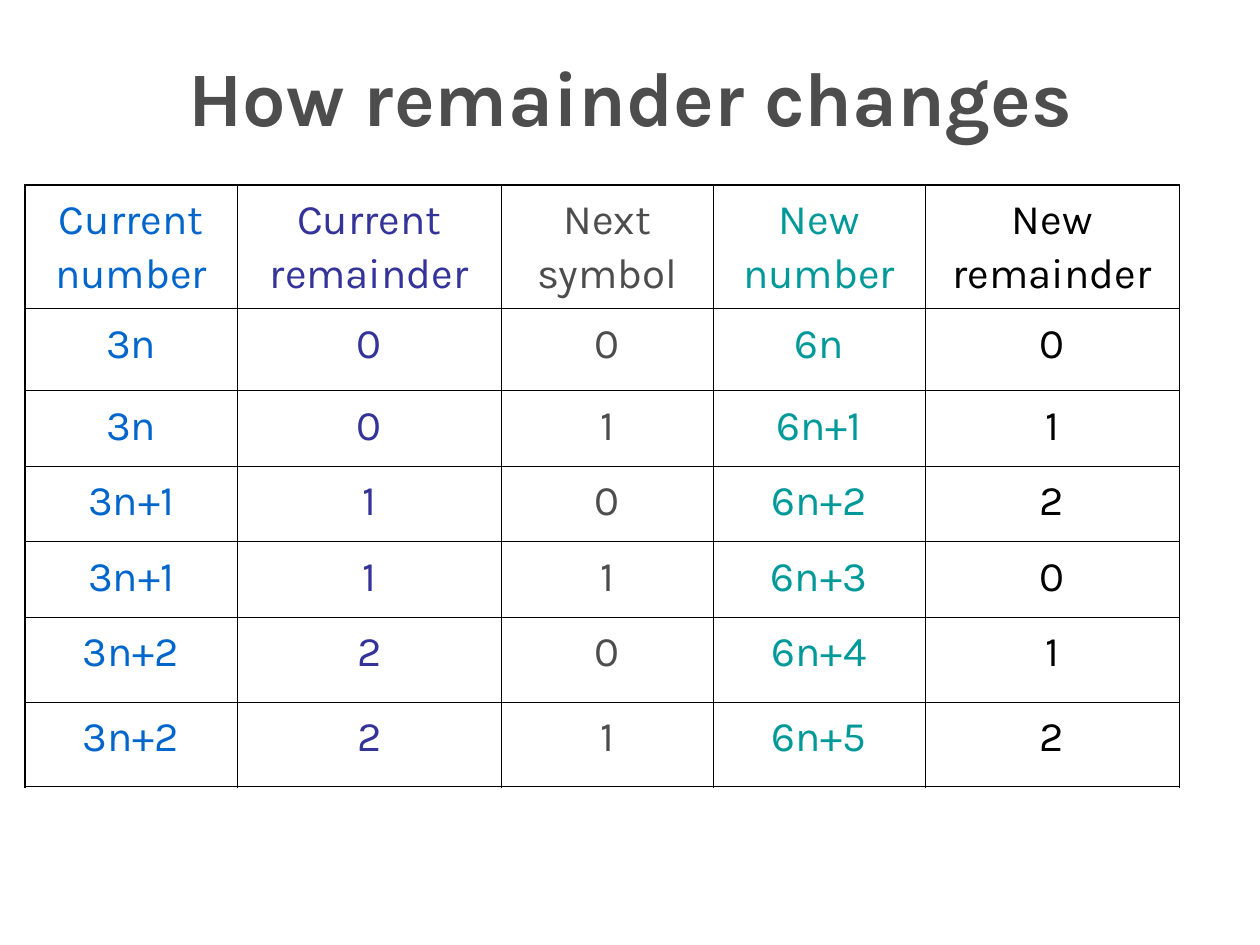
import pptx
import pptx.dml.color
import pptx.enum.text
import pptx.oxml
import pptx.oxml.ns
import pptx.util

Pt = pptx.util.Pt
RGBColor = pptx.dml.color.RGBColor

BLUE = RGBColor(0x00, 0x66, 0xCC)
INDIGO = RGBColor(0x33, 0x33, 0x99)
GRAY = RGBColor(0x4D, 0x4D, 0x4D)
TEAL = RGBColor(0x00, 0x99, 0x99)
BLACK = RGBColor(0x00, 0x00, 0x00)

TITLE = "How remainder changes"
COLUMNS = [
    ("Current number", 121, BLUE),
    ("Current remainder", 151.2, INDIGO),
    ("Next symbol", 121, GRAY),
    ("New number", 121, TEAL),
    ("New remainder", 145.4, BLACK),
]
TRANSITIONS = [
    ("3n", "0", "0", "6n", "0"),
    ("3n", "0", "1", "6n+1", "1"),
    ("3n+1", "1", "0", "6n+2", "2"),
    ("3n+1", "1", "1", "6n+3", "0"),
    ("3n+2", "2", "0", "6n+4", "1"),
    ("3n+2", "2", "1", "6n+5", "2"),
]
ROW_HEIGHTS = [70.4, 46.8, 43.2, 43.2, 43.2, 48.4, 48.4]
LEFT = 14.4
TABLE_TOP = 105.8
OUTER_LINE = 1.08
INNER_LINE = 0.45


def write_text(frame, text, size, color, bold=False, line_spacing=1.0):
    paragraph = frame.paragraphs[0]
    paragraph.alignment = pptx.enum.text.PP_ALIGN.CENTER
    paragraph.line_spacing = line_spacing
    run = paragraph.add_run()
    run.text = text
    run.font.name = "Karla"
    run.font.size = Pt(size)
    run.font.bold = bold
    run.font.color.rgb = color


def set_borders(cell, widths):
    properties = cell._tc.get_or_add_tcPr()
    for position, (side, width) in enumerate(widths.items()):
        line = pptx.oxml.parse_xml(
            f'<a:ln{side} {pptx.oxml.ns.nsdecls("a")} w="{int(Pt(width))}">'
            f'<a:solidFill><a:srgbClr val="{BLACK}"/></a:solidFill></a:ln{side}>'
        )
        properties.insert(position, line)


def add_title(slide):
    title = slide.shapes.add_textbox(Pt(LEFT), Pt(15), Pt(692), Pt(79.2))
    frame = title.text_frame
    frame.word_wrap = True
    frame.vertical_anchor = pptx.enum.text.MSO_ANCHOR.MIDDLE
    write_text(frame, TITLE, size=44, color=GRAY, bold=True)


def add_remainder_table(slide):
    rows = [[heading for heading, _, _ in COLUMNS], *TRANSITIONS]
    last_row, last_column = len(rows) - 1, len(COLUMNS) - 1
    table_width = sum(width for _, width, _ in COLUMNS)
    table = slide.shapes.add_table(
        len(rows), len(COLUMNS), Pt(LEFT), Pt(TABLE_TOP),
        Pt(table_width), Pt(sum(ROW_HEIGHTS)),
    ).table
    table.first_row = False
    table.horz_banding = False
    for column, (_, width, _) in zip(table.columns, COLUMNS):
        column.width = Pt(width)
    for row, height in zip(table.rows, ROW_HEIGHTS):
        row.height = Pt(height)
    for row_index, values in enumerate(rows):
        for column_index, text in enumerate(values):
            cell = table.cell(row_index, column_index)
            cell.fill.background()
            color = COLUMNS[column_index][2]
            write_text(cell.text_frame, text, size=24, color=color, line_spacing=1.1)
            outer_sides = {
                "L": column_index == 0,
                "R": column_index == last_column,
                "T": row_index == 0,
                "B": row_index == last_row,
            }
            set_borders(cell, {
                side: OUTER_LINE if outer else INNER_LINE
                for side, outer in outer_sides.items()
            })


def main():
    presentation = pptx.Presentation()
    presentation.slide_width = Pt(720)
    presentation.slide_height = Pt(540)
    slide = presentation.slides.add_slide(presentation.slide_layouts[6])
    add_title(slide)
    add_remainder_table(slide)
    presentation.save("out.pptx")


if __name__ == "__main__":
    main()
